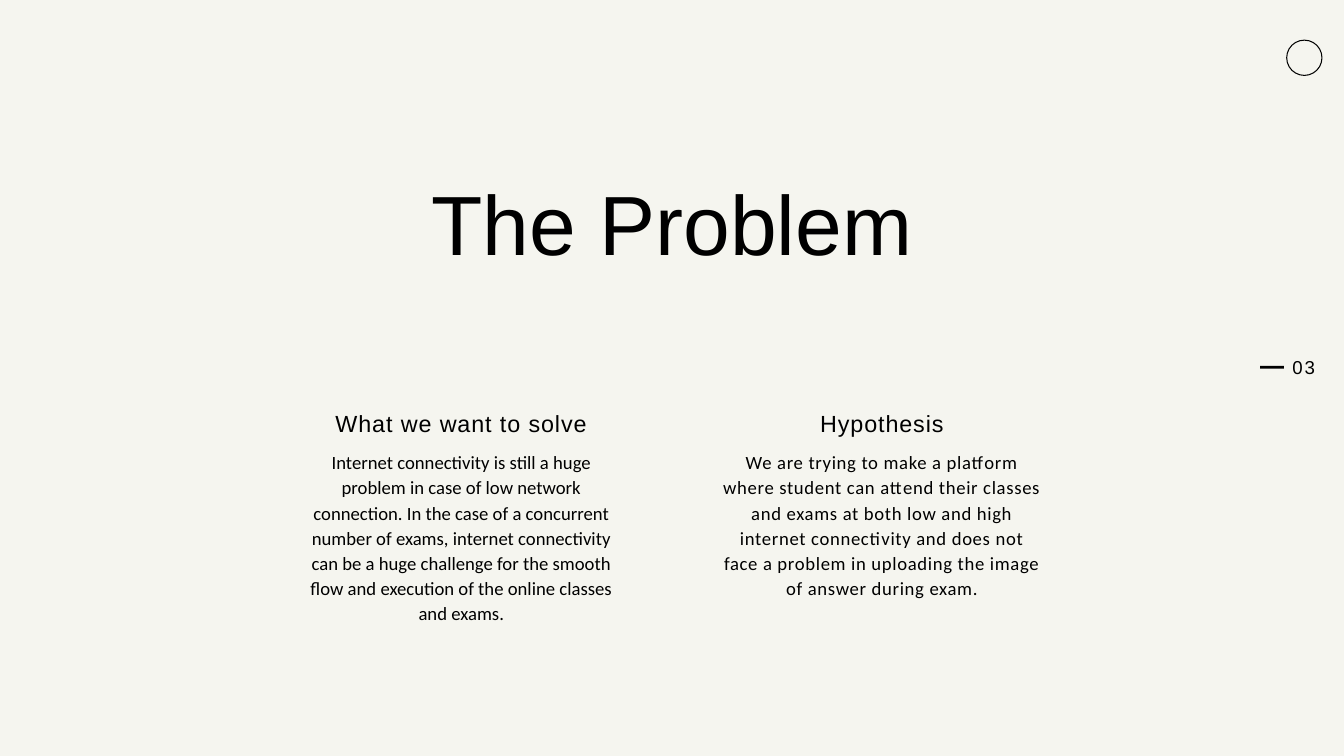
from dataclasses import dataclass

import pptx
import pptx.dml.color
import pptx.enum.shapes
import pptx.enum.text
import pptx.util

Pt = pptx.util.Pt
Align = pptx.enum.text.PP_ALIGN
Shape = pptx.enum.shapes.MSO_SHAPE

INK = "000000"
PAPER = "F5F5EF"


@dataclass(frozen=True)
class Style:
    font: str
    size: float
    line_height: float
    tracking: float = 0
    align: Align = Align.CENTER


@dataclass(frozen=True)
class Column:
    heading: str
    body: str
    body_height: float
    body_tracking: float


TITLE = Style("Arial", 90, 99)
HEADING = Style("Arial", 25, 32.5, 1)
PAGE_NUMBER = Style("Arial", 20, 24, 2, Align.RIGHT)

COLUMN_LEFT = 321.8
COLUMN_STEP = 450.7
COLUMN_WIDTH = 344.9
HEADING_WIDTH = 309.6

COLUMNS = [
    Column(
        "What we want to solve",
        "Internet connectivity is still a huge problem in case of low network "
        "connection. In the case of a concurrent number of exams, internet "
        "connectivity can be a huge challenge for the smooth flow and execution "
        "of the online classes and exams.",
        215.3,
        0,
    ),
    Column(
        "Hypothesis",
        "We are trying to make a platform where student can attend their classes "
        "and exams at both low and high internet connectivity and does not face "
        "a problem in uploading the image of answer during exam.",
        187.9,
        0.7,
    ),
]


def color(value: str) -> pptx.dml.color.RGBColor:
    return pptx.dml.color.RGBColor.from_string(value)


def add_text(page, text: str, style: Style, left: float, top: float,
             width: float, height: float) -> None:
    box = page.shapes.add_textbox(Pt(left), Pt(top), Pt(width), Pt(height))
    frame = box.text_frame
    frame.margin_left = frame.margin_right = 0
    frame.margin_top = frame.margin_bottom = 0
    frame.word_wrap = True
    frame.text = text
    para = frame.paragraphs[0]
    para.alignment = style.align
    para.line_spacing = Pt(style.line_height)
    span = para.runs[0]
    span.font.name = style.font
    span.font.size = Pt(style.size)
    span.font.color.rgb = color(INK)
    if style.tracking:
        span._r.get_or_add_rPr().set("spc", str(round(style.tracking * 100)))


def add_ring(page, left: float, top: float, diameter: float, weight: float) -> None:
    ring = page.shapes.add_shape(
        Shape.OVAL, Pt(left), Pt(top), Pt(diameter), Pt(diameter))
    ring.shadow.inherit = False
    ring.fill.background()
    ring.line.color.rgb = color(INK)
    ring.line.width = Pt(weight)


def add_dash(page, left: float, top: float, width: float, height: float) -> None:
    dash = page.shapes.add_shape(
        Shape.RECTANGLE, Pt(left), Pt(top), Pt(width), Pt(height))
    dash.shadow.inherit = False
    dash.fill.solid()
    dash.fill.fore_color.rgb = color(INK)
    dash.line.fill.background()


def add_column(page, column: Column, left: float) -> None:
    body_style = Style("Calibri", 20, 27, column.body_tracking)
    heading_left = left + (COLUMN_WIDTH - HEADING_WIDTH) / 2
    add_text(page, column.heading, HEADING, heading_left, 436.3, HEADING_WIDTH, 30.2)
    add_text(page, column.body, body_style, left, 480.2, COLUMN_WIDTH, column.body_height)


def main() -> None:
    deck = pptx.Presentation()
    deck.slide_width = Pt(1440)
    deck.slide_height = Pt(810)
    page = deck.slides.add_slide(deck.slide_layouts[6])
    page.background.fill.solid()
    page.background.fill.fore_color.rgb = color(PAPER)

    add_ring(page, 1378.6, 43, 37.8, 1.1)
    add_text(page, "03", PAGE_NUMBER, 1373, 380.9, 36, 24.5)
    add_dash(page, 1350.2, 392, 25.4, 2.9)
    add_text(page, "The Problem", TITLE, 438.5, 193, 563, 101.5)
    for index, column in enumerate(COLUMNS):
        add_column(page, column, COLUMN_LEFT + index * COLUMN_STEP)

    deck.save("out.pptx")


if __name__ == "__main__":
    main()
